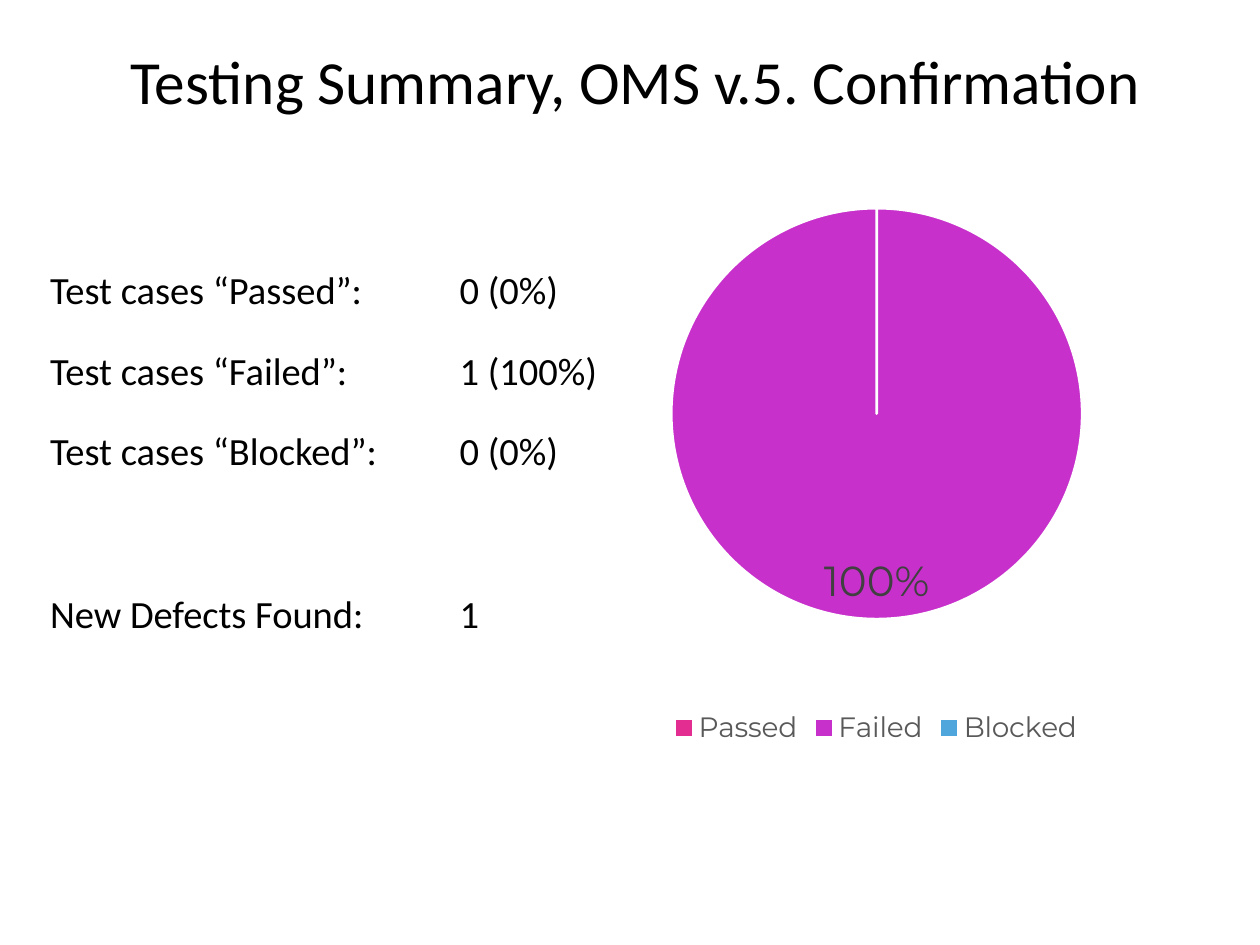
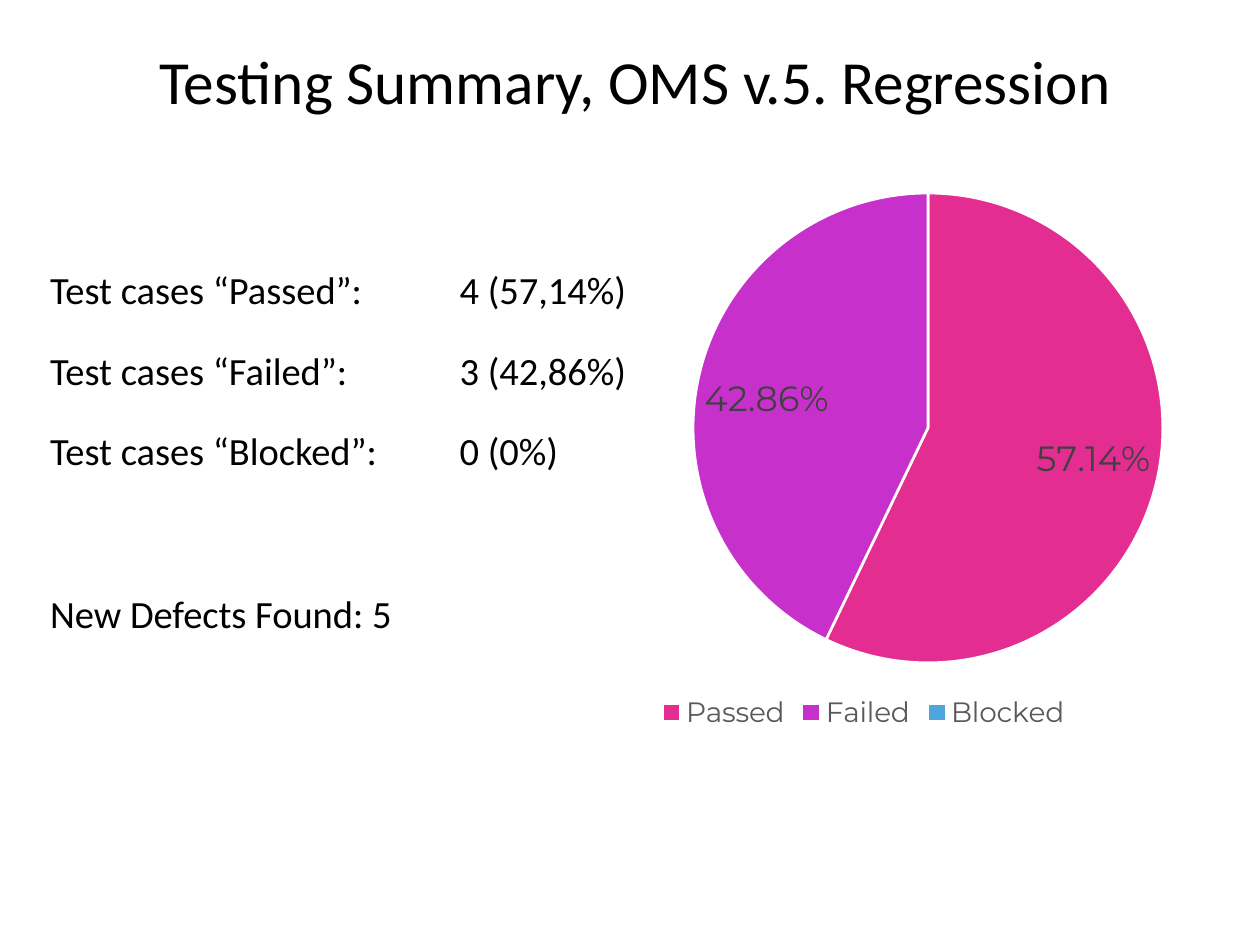
"""Build two testing summary slides, each with a tally and a pie chart."""
from dataclasses import dataclass

from lxml import etree
from pptx import Presentation
from pptx.chart.chart import Chart
from pptx.chart.data import CategoryChartData
from pptx.dml.color import RGBColor
from pptx.enum.chart import XL_CHART_TYPE, XL_LABEL_POSITION, XL_LEGEND_POSITION
from pptx.enum.text import MSO_ANCHOR, PP_ALIGN
from pptx.oxml import parse_xml
from pptx.oxml.ns import nsdecls, qn
from pptx.slide import Slide
from pptx.text.text import Font, TextFrame
from pptx.util import Inches, Pt

PIE = XL_CHART_TYPE.PIE
BEST = XL_LABEL_POSITION.BEST_FIT
BOTTOM = XL_LEGEND_POSITION.BOTTOM
TOP, MIDDLE = MSO_ANCHOR.TOP, MSO_ANCHOR.MIDDLE
CENTER, LEFT = PP_ALIGN.CENTER, PP_ALIGN.LEFT

COLORS = {
    "text": "000000", "legend": "595959", "label": "404040", "edge": "FFFFFF",
    "Passed": "E32D91", "Failed": "C830CC", "Blocked": "4EA6DC",
}
STATES = ("Passed", "Failed", "Blocked")
FONTS = {
    "title": {"size": Pt(35), "name": "Calibri"},
    "body": {"size": Pt(22), "name": "Calibri"},
    "legend": {"size": Pt(16), "name": "Montserrat"},
}
TEXT_LEFT, TEXT_WIDTH = 0.3, 9.49
PIE_WIDTH, PIE_HEIGHT = 6.67, 4.44
TAB = 3.25
GAP = 9.25


@dataclass
class Report:
    """Hold what differs from one summary slide to the next."""
    name: str
    tally: tuple[str, ...]
    defects: str
    shares: tuple[float, ...]
    left: float
    top: float
    plot: tuple[float, ...]
    digits: str
    size: int


REPORTS = (
    Report("Confirmation", ("0 (0%)", "1 (100%)", "0 (0%)"),
           "New Defects Found:\t1", (0, 1, 0), 3.62, 1.51,
           (0.256, 0.032, 0.489, 0.735), "0%", 24),
    Report("Regression", ("4 (57,14%)", "3 (42,86%)", "0 (0%)"),
           "New Defects Found: 5", (0.5714, 0.4286, 0), 3.52, 1.39,
           (0.297, 0.032, 0.559, 0.84), "0.00%", 20),
)


def style(font: Font, look: dict, color: str) -> None:
    """Give a font its format values and colour."""
    for key, value in look.items():
        setattr(font, key, value)
    font.color.rgb = RGBColor.from_string(COLORS[color])


def add_text(slide: Slide, top: float, height: float, lines: list[str],
             look: str, **form: object) -> TextFrame:
    """Add a text box with one paragraph for each line."""
    box = slide.shapes.add_textbox(Inches(TEXT_LEFT), Inches(top),
                                   Inches(TEXT_WIDTH), Inches(height))
    frame = box.text_frame
    frame.word_wrap = True
    frame.vertical_anchor = form.pop("anchor")
    frame.text = "\n".join(lines)
    for para in frame.paragraphs:
        for key, value in form.items():
            setattr(para, key, value)
        for run in para.runs:
            style(run.font, FONTS[look], "text")
    return frame


def add_tally(slide: Slide, report: Report) -> None:
    """List the case counts and the defects found."""
    lines = [f"Test cases “{state}”:\t{count}"
             for state, count in zip(STATES, report.tally)]
    frame = add_text(slide, 2.06, 3.18, lines + [report.defects], "body",
                     anchor=TOP, alignment=LEFT, line_spacing=1.4,
                     space_before=Pt(GAP))
    first, *_, last = frame.paragraphs
    first.line_spacing, first.space_before = 1.0, Pt(0)
    last.space_before = Pt(56.2)
    for para in frame.paragraphs:
        tabs = etree.SubElement(para._p.get_or_add_pPr(), qn("a:tabLst"))
        etree.SubElement(tabs, qn("a:tab"), pos=str(Inches(TAB)), algn="l")


def set_plot(chart: Chart, plot: tuple[float, ...]) -> None:
    """Place the inner plot area by fractions of the chart."""
    area = chart._chartSpace.find(".//" + qn("c:plotArea"))
    for old in area.findall(qn("c:layout")):
        area.remove(old)
    sides = "".join(f'<c:{key} val="{value}"/>'
                    for key, value in zip("xywh", plot))
    area.insert(0, parse_xml(
        f'<c:layout {nsdecls("c")}><c:manualLayout>'
        '<c:layoutTarget val="inner"/><c:xMode val="edge"/>'
        f'<c:yMode val="edge"/>{sides}</c:manualLayout></c:layout>'))


def add_pie(slide: Slide, report: Report) -> None:
    """Add the pie chart of case results."""
    data = CategoryChartData()
    data.categories = STATES
    data.add_series("Series 1", report.shares)
    chart = slide.shapes.add_chart(
        PIE, Inches(report.left), Inches(report.top),
        Inches(PIE_WIDTH), Inches(PIE_HEIGHT), data).chart
    style(chart.font, {"size": Pt(10), "name": "Calibri"}, "text")
    chart.has_title = False
    chart.has_legend = True
    legend = chart.legend
    legend.position, legend.include_in_layout = BOTTOM, False
    style(legend.font, FONTS["legend"], "legend")
    plot = chart.plots[0]
    plot.vary_by_categories = True
    plot.has_data_labels = True
    labels = plot.data_labels
    form = {"show_value": True, "show_percentage": False, "position": BEST,
            "number_format": report.digits + ";;",
            "number_format_is_linked": False}
    for key, value in form.items():
        setattr(labels, key, value)
    style(labels.font, {"size": Pt(report.size), "name": "Montserrat"}, "label")
    for spot, state in enumerate(STATES):
        slice_ = plot.series[0].points[spot].format
        slice_.fill.solid()
        slice_.fill.fore_color.rgb = RGBColor.from_string(COLORS[state])
        slice_.line.color.rgb = RGBColor.from_string(COLORS["edge"])
        slice_.line.width = Pt(1.5)
    set_plot(chart, report.plot)


def main() -> None:
    """Build and save the deck."""
    deck = Presentation()
    deck.slide_width, deck.slide_height = Inches(10), Inches(7.5)
    for report in REPORTS:
        slide = deck.slides.add_slide(deck.slide_layouts[6])
        add_text(slide, 0.38, 0.58,
                 [f"Testing Summary, OMS v.5. {report.name}"], "title",
                 anchor=MIDDLE, alignment=CENTER, line_spacing=0.9)
        add_tally(slide, report)
        add_pie(slide, report)
    deck.save("out.pptx")


if __name__ == "__main__":
    main()
